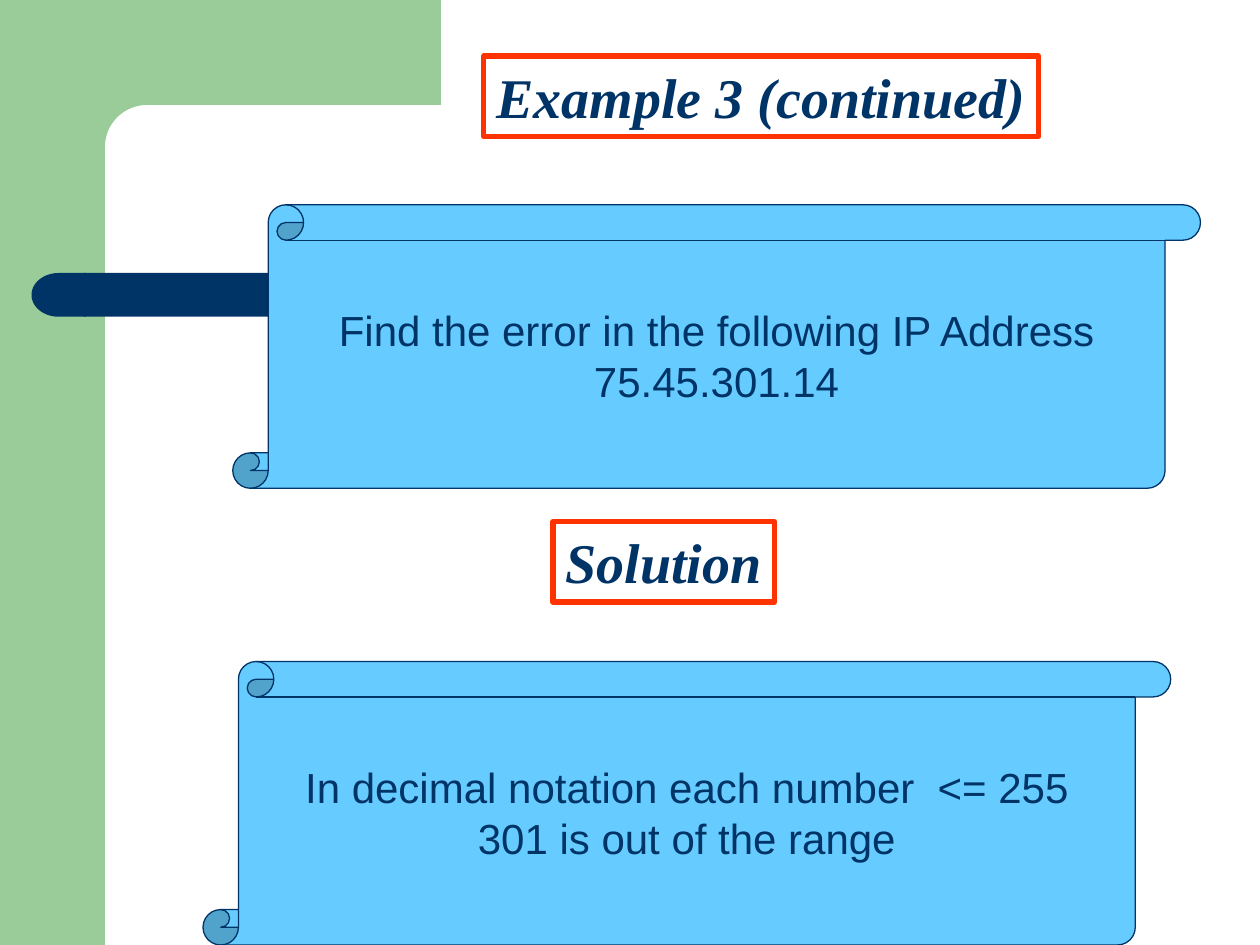
from math import cos, sin, radians
from pptx import Presentation
from pptx.dml.color import RGBColor
from pptx.enum.shapes import MSO_SHAPE as SHAPE
from pptx.enum.text import MSO_ANCHOR as ANCHOR, MSO_AUTO_SIZE as AUTO, PP_ALIGN as ALIGN
from pptx.util import Pt

GREEN, NAVY, RED, SKY, WHITE = "99CC99", "003366", "FF3300", "66CCFF", "FFFFFF"


def paint(s, fill, line=None, width=0):
    s.shadow.inherit = False
    s.fill.solid()
    s.fill.fore_color.rgb = RGBColor.from_string(fill)
    if line:
        s.line.color.rgb = RGBColor.from_string(line)
        s.line.width = Pt(width)
    else:
        s.line.fill.background()


def write(s, text, font="Arial", size=24, bold=False, italic=False,
          align=ALIGN.CENTER, anchor=ANCHOR.MIDDLE, auto=AUTO.NONE):
    tf = s.text_frame
    tf.word_wrap = False
    tf.auto_size = auto
    tf.vertical_anchor = anchor
    for i, line in enumerate(text.split("\n")):
        p = tf.add_paragraph() if i else tf.paragraphs[0]
        p.alignment = align
        r = p.add_run()
        r.text = line
        r.font.name = font
        r.font.size = Pt(size)
        r.font.bold = bold
        r.font.italic = italic
        r.font.color.rgb = RGBColor.from_string(NAVY)


prs = Presentation()
prs.slide_width, prs.slide_height = Pt(720), Pt(540)
shapes = prs.slides.add_slide(prs.slide_layouts[6]).shapes

s = shapes.add_shape(SHAPE.RECTANGLE, 0, 0, Pt(60), Pt(540))
paint(s, GREEN)

arc = [(84 - 24 * sin(radians(a)), 84 - 24 * cos(radians(a))) for a in range(0, 91, 5)]
outline = [(252, 60)] + arc + [(60, 92), (36, 92), (36, 0)]
fb = shapes.build_freeform(Pt(252), 0)
fb.add_line_segments([(Pt(x), Pt(y)) for x, y in outline], close=True)
paint(fb.convert_to_shape(), GREEN)

s = shapes.add_shape(SHAPE.ROUNDED_RECTANGLE, Pt(48), Pt(156), Pt(552), Pt(25))
s.adjustments[0] = 0
paint(s, NAVY)
s = shapes.add_shape(SHAPE.FLOWCHART_DELAY, Pt(18), Pt(156), Pt(31), Pt(25))
s.rotation = 180
paint(s, NAVY)

for text, x, y, w in [("Example 3 (continued)", 276.5, 32, 317),
                      ("Solution", 316, 298, 126.5)]:
    s = shapes.add_shape(SHAPE.RECTANGLE, Pt(x), Pt(y), Pt(w), Pt(46))
    paint(s, WHITE, RED, 3)
    write(s, text, font="Times New Roman", size=32, bold=True, italic=True,
          align=ALIGN.LEFT, anchor=ANCHOR.TOP, auto=AUTO.SHAPE_TO_FIT_TEXT)

for text, x, y in [("Find the error in the following IP Address\n75.45.301.14", 133, 117),
                   ("In decimal notation each number  <= 255\n301 is out of the range", 116, 378)]:
    s = shapes.add_shape(SHAPE.VERTICAL_SCROLL, Pt(x), Pt(y), Pt(553), Pt(162))
    s.adjustments[0] = 0.125
    paint(s, SKY, NAVY, 0.75)
    write(s, text)

prs.save("out.pptx")
